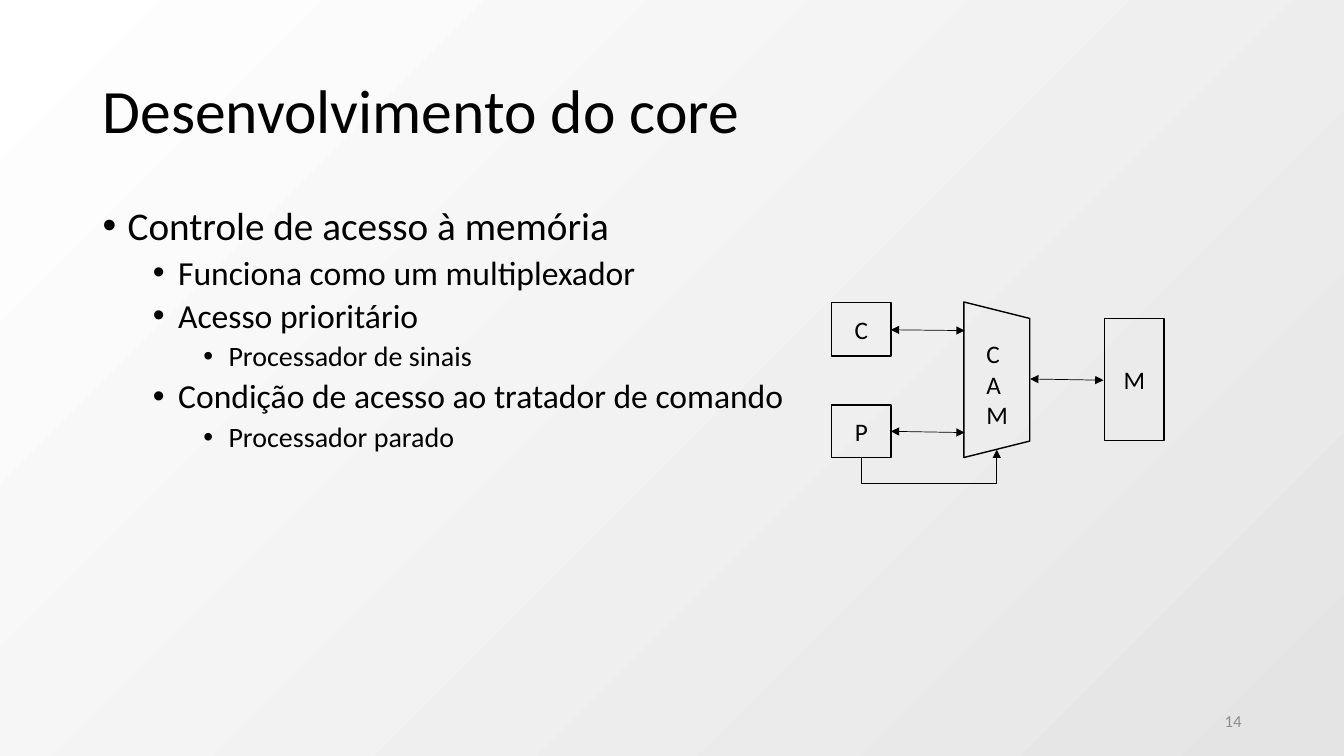
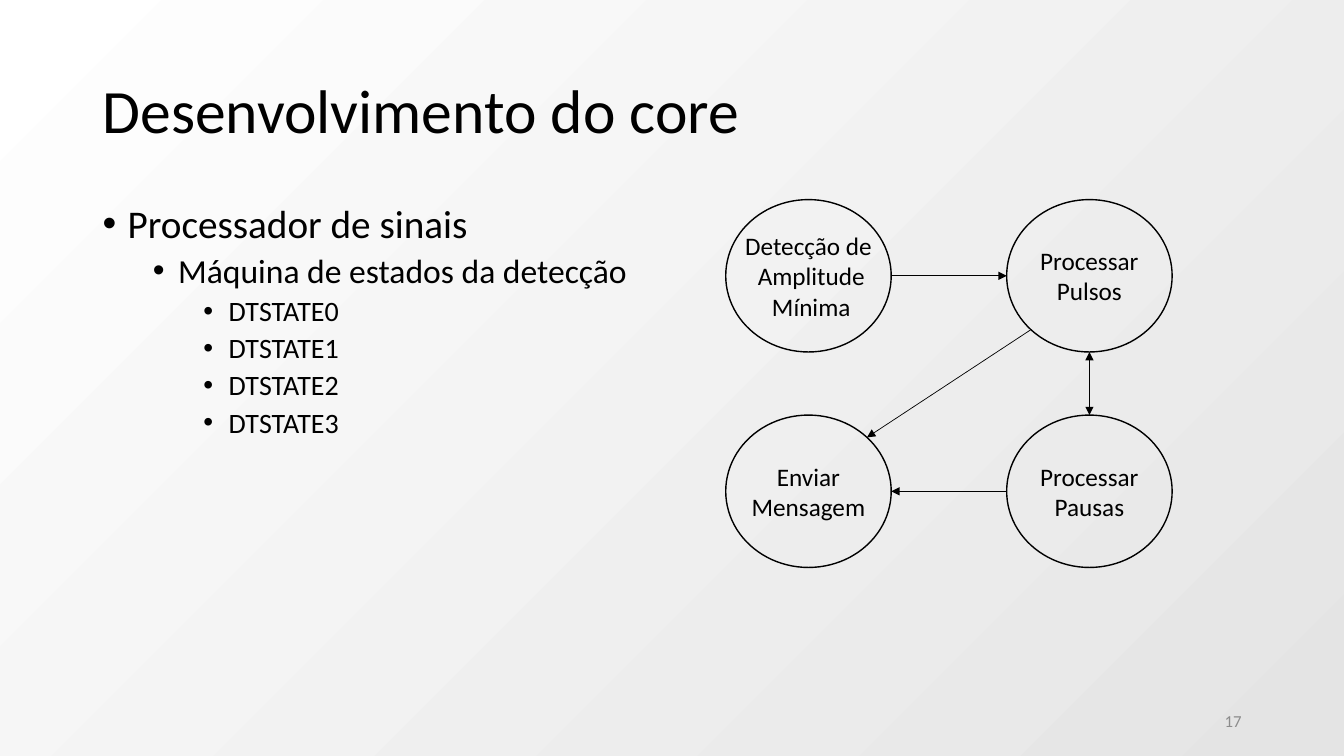
from math import cos, radians, sin

from lxml.etree import SubElement
from pptx import Presentation
from pptx.dml.color import RGBColor
from pptx.enum.shapes import MSO_CONNECTOR, MSO_SHAPE
from pptx.enum.text import MSO_ANCHOR, MSO_AUTO_SIZE, PP_ALIGN
from pptx.oxml.ns import qn
from pptx.util import Cm, Pt

# Shared look
BLACK = RGBColor(0x00, 0x00, 0x00)
GREY = RGBColor(0x8C, 0x8C, 0x8C)
WHITE = RGBColor(0xFF, 0xFF, 0xFF)
LIGHT_GREY = RGBColor(0xE4, 0xE4, 0xE4)
FONT = "Calibri"
TITLE = "Desenvolvimento do core"
TITLE_BOX = (2.33, 1.01, 29.21, 3.68)
NUMBER_BOX = (23.92, 17.65, 7.62, 1.01)
BULLET_SIZES = (28, 24, 20)
BULLET_GAPS = (10, 5, 5)
LABEL_FRAME = {
    "margin_left": 0, "margin_right": 0, "margin_top": 0, "margin_bottom": 0,
    "word_wrap": False, "vertical_anchor": MSO_ANCHOR.MIDDLE,
}

# State circles
CIRCLE_WIDTH, CIRCLE_HEIGHT = 4.17, 3.84
CIRCLE_COLUMNS = (18.29, 25.37)
CIRCLE_ROWS = (5.03, 10.46)


def apply_format(target, values):
    for name, value in values.items():
        setattr(target, name, value)


def place(shape, box):
    names = ("left", "top", "width", "height")
    apply_format(shape, {name: Cm(value) for name, value in zip(names, box)})


def write_line(paragraph, text, size, color=BLACK, **paragraph_format):
    apply_format(paragraph, paragraph_format)
    run = paragraph.add_run()
    run.text = text
    apply_format(run.font, {"name": FONT, "size": Pt(size)})
    run.font.color.rgb = color


def write_lines(frame, lines, size, alignment, color=BLACK):
    for index, text in enumerate(lines):
        paragraph = frame.add_paragraph() if index else frame.paragraphs[0]
        write_line(paragraph, text, size, color, alignment=alignment)


# Template parts
def set_background(master):
    fill = master.background.fill
    fill.gradient()
    fill.gradient_angle = 315
    for stop, color in zip(fill.gradient_stops, (WHITE, LIGHT_GREY)):
        stop.color.rgb = color


def add_title(slide):
    title = slide.shapes.title
    place(title, TITLE_BOX)
    frame = title.text_frame
    apply_format(frame, {"vertical_anchor": MSO_ANCHOR.MIDDLE,
                         "auto_size": MSO_AUTO_SIZE.NONE})
    write_line(frame.paragraphs[0], TITLE, 44,
               alignment=PP_ALIGN.LEFT, line_spacing=0.9)


def add_bullets(slide, box, items):
    body = slide.placeholders[1]
    place(body, box)
    frame = body.text_frame
    frame.auto_size = MSO_AUTO_SIZE.NONE
    for index, (level, text) in enumerate(items):
        paragraph = frame.add_paragraph() if index else frame.paragraphs[0]
        properties = paragraph._p.get_or_add_pPr()
        properties.set("marL", str(Cm(0.635 + 1.27 * level)))
        properties.set("indent", str(-Cm(0.635)))
        SubElement(properties, qn("a:buChar")).set("char", "•")
        write_line(paragraph, text, BULLET_SIZES[level], level=level,
                   line_spacing=0.9,
                   space_before=Pt(BULLET_GAPS[level] if index else 0))


def add_text(slide, box, lines, size, alignment, color=BLACK, **frame_format):
    text_box = slide.shapes.add_textbox(*map(Cm, box))
    apply_format(text_box.text_frame, frame_format)
    write_lines(text_box.text_frame, lines, size, alignment, color)


def new_slide(presentation, number, body_box, items):
    slide = presentation.slides.add_slide(presentation.slide_layouts[1])
    add_title(slide)
    add_bullets(slide, body_box, items)
    add_text(slide, NUMBER_BOX, [number], 12, PP_ALIGN.RIGHT, GREY,
             word_wrap=True, vertical_anchor=MSO_ANCHOR.MIDDLE)
    return slide


# Diagram parts
def add_outline(slide, kind, box, lines=()):
    shape = slide.shapes.add_shape(kind, *map(Cm, box))
    shape.shadow.inherit = False
    shape.fill.background()
    shape.line.color.rgb = BLACK
    shape.line.width = Pt(1)
    apply_format(shape.text_frame, LABEL_FRAME)
    write_lines(shape.text_frame, lines, 18, PP_ALIGN.CENTER)
    return shape


def add_arrow(slide, start, end, both=False, kind=MSO_CONNECTOR.STRAIGHT):
    connector = slide.shapes.add_connector(kind, *map(Cm, start + end))
    connector.line.color.rgb = BLACK
    connector.line.width = Pt(0.5)
    line = connector.line._get_or_add_ln()
    for tag in ("a:headEnd", "a:tailEnd") if both else ("a:tailEnd",):
        SubElement(line, qn(tag)).set("type", "triangle")
    SubElement(connector._element.spPr, qn("a:effectLst"))
    return connector


def add_arrow_below(slide, start, end, drop):
    """Elbow that leaves downwards by drop and comes back up to end."""
    middle_x, middle_y = (start[0] + end[0]) / 2, (start[1] + end[1]) / 2
    across, down = start[0] - middle_x, start[1] - middle_y
    # Endpoints before the quarter turn
    connector = add_arrow(slide, (middle_x + down, middle_y - across),
                          (middle_x - down, middle_y + across),
                          kind=MSO_CONNECTOR.ELBOW)
    properties = connector._element.spPr
    properties.find(qn("a:xfrm")).set("rot", "5400000")
    adjustments = properties.find(qn("a:prstGeom")).find(qn("a:avLst"))
    guide = SubElement(adjustments, qn("a:gd"))
    guide.set("name", "adj1")
    guide.set("fmla", f"val {round(-drop / (2 * down) * 100000)}")


def circle_point(column, row, angle):
    """Point on the edge of a state circle, clockwise from the right."""
    radius_x, radius_y = CIRCLE_WIDTH / 2, CIRCLE_HEIGHT / 2
    return (CIRCLE_COLUMNS[column] + radius_x * (1 + cos(radians(angle))),
            CIRCLE_ROWS[row] + radius_y * (1 + sin(radians(angle))))


# Slides
def add_memory_slide(presentation):
    slide = new_slide(presentation, "14", (2.33, 5.08, 18.13, 12.09), [
        (0, "Controle de acesso à memória"),
        (1, "Funciona como um multiplexador"),
        (1, "Acesso prioritário"),
        (2, "Processador de sinais"),
        (1, "Condição de acesso ao tratador de comando"),
        (2, "Processador parado"),
    ])
    multiplexer = add_outline(slide, MSO_SHAPE.TRAPEZOID,
                              (23.16, 8.74, 3.92, 1.66))
    multiplexer.rotation = 90
    add_text(slide, (24.61, 8.41, 1.07, 2.57), "CAM", 18, PP_ALIGN.LEFT,
             word_wrap=False)
    for label, box in (("P", (20.96, 10.21, 1.5, 1.32)),
                       ("C", (20.96, 7.62, 1.5, 1.35)),
                       ("M", (27.84, 8.03, 1.5, 3.07))):
        add_outline(slide, MSO_SHAPE.RECTANGLE, box, [label])
    for start, end in (((22.45, 8.31), (24.31, 8.33)),
                       ((22.45, 10.87), (24.31, 10.9)),
                       ((25.96, 9.55), (27.81, 9.58))):
        add_arrow(slide, start, end, both=True)
    add_arrow_below(slide, (21.72, 11.53), (25.12, 11.33), 0.64)


def add_states_slide(presentation):
    slide = new_slide(presentation, "17", (2.33, 5.03, 14.12, 12.09), [
        (0, "Processador de sinais"),
        (1, "Máquina de estados da detecção"),
        *((2, f"DTSTATE{state}") for state in range(4)),
    ])
    for column, row, lines in (
            (0, 0, ["Detecção de", " Amplitude", " Mínima"]),
            (1, 0, ["Processar", "Pulsos"]),
            (1, 1, ["Processar", "Pausas"]),
            (0, 1, ["Enviar", "Mensagem"])):
        box = (CIRCLE_COLUMNS[column], CIRCLE_ROWS[row],
               CIRCLE_WIDTH, CIRCLE_HEIGHT)
        add_outline(slide, MSO_SHAPE.OVAL, box, lines)
    # Each end: column, row, angle
    for start, end, both in (((0, 0, 0), (1, 0, 180), False),
                             ((1, 0, 90), (1, 1, 270), True),
                             ((1, 0, 135), (0, 1, 315), False),
                             ((1, 1, 180), (0, 1, 0), False)):
        add_arrow(slide, circle_point(*start), circle_point(*end), both)


def main():
    presentation = Presentation()
    apply_format(presentation, {"slide_width": Cm(33.87),
                                "slide_height": Cm(19.05)})
    set_background(presentation.slide_master)
    add_memory_slide(presentation)
    add_states_slide(presentation)
    presentation.save("out.pptx")


if __name__ == "__main__":
    main()
